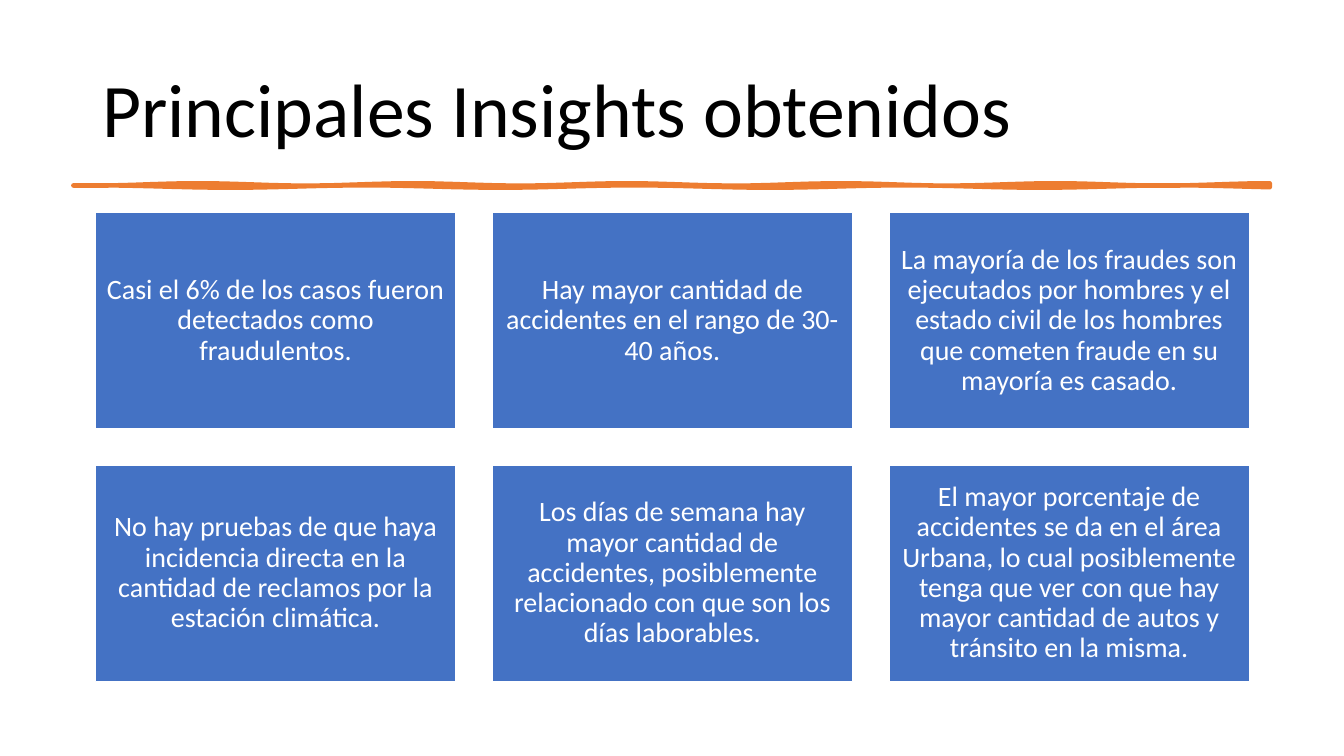
"""Builds the slide of main insights: a title, a wavy hand-drawn rule and a grid of cards."""
import math

from pptx import Presentation
from pptx import util as u
from pptx.dml.color import RGBColor
from pptx.enum import shapes, text

BLACK = RGBColor(0x00, 0x00, 0x00)
WHITE = RGBColor(0xFF, 0xFF, 0xFF)
BLUE = RGBColor(0x44, 0x72, 0xC4)
ORANGE = RGBColor(0xED, 0x7D, 0x31)

INSIGHTS = [
    "Casi el 6% de los casos fueron detectados como fraudulentos.",
    "Hay mayor cantidad de accidentes en el rango de 30-40 años.",
    "La mayoría de los fraudes son ejecutados por hombres y el estado civil "
    "de los hombres que cometen fraude en su mayoría es casado.",
    "No hay pruebas de que haya incidencia directa en la cantidad de reclamos "
    "por la estación climática.",
    "Los días de semana hay mayor cantidad de accidentes, posiblemente "
    "relacionado con que son los días laborables.",
    "El mayor porcentaje de accidentes se da en el área Urbana, lo cual "
    "posiblemente tenga que ver con que hay mayor cantidad de autos y "
    "tránsito en la misma.",
]
COLUMNS = 3
CARD_LEFT, CARD_TOP = 2.4, 5.36
CARD_WIDTH, CARD_HEIGHT = 9.09, 5.45
CARD_GAP = 0.91
CARD_MARGIN = 0.21

RULE_LEFT, RULE_WIDTH = 1.85, 30.15
RULE_STEPS = 60
WAVE_HEIGHT = 0.03
TOP_EDGE, TOP_WAVELENGTH, TOP_CREST = 4.65, 5.4, 10.4
BOTTOM_EDGE, BOTTOM_WAVELENGTH, BOTTOM_CREST = 4.7, 6.8, 9.2


def paint(shape, fill, line, width):
    shape.shadow.inherit = False
    shape.fill.solid()
    shape.fill.fore_color.rgb = fill
    shape.line.color.rgb = line
    shape.line.width = u.Pt(width)


def write(box, words, align, size, color, margins):
    frame = box.text_frame
    frame_format = {"word_wrap": True, "vertical_anchor": text.MSO_ANCHOR.MIDDLE, **margins}
    for name, value in frame_format.items():
        setattr(frame, name, value)
    para = frame.paragraphs[0]
    for name, value in {"alignment": align, "line_spacing": 0.9}.items():
        setattr(para, name, value)
    span = para.add_run()
    span.text = words
    for name, value in {"name": "Calibri", "size": u.Pt(size)}.items():
        setattr(span.font, name, value)
    span.font.color.rgb = color


deck = Presentation()
deck.slide_width, deck.slide_height = u.Cm(33.87), u.Cm(19.05)
page = deck.slides.add_slide(deck.slide_layouts[6])

title = page.shapes.add_textbox(u.Cm(2.33), u.Cm(1.01), u.Cm(29.21), u.Cm(3.68))
write(title, "Principales Insights obtenidos", text.PP_ALIGN.LEFT, 54, BLACK, {})

rightward = [RULE_LEFT + RULE_WIDTH * step / RULE_STEPS for step in range(RULE_STEPS + 1)]
leftward = rightward[::-1]
outline = []
for stations, edge, wavelength, crest in (
    (rightward, TOP_EDGE, TOP_WAVELENGTH, TOP_CREST),
    (leftward, BOTTOM_EDGE, BOTTOM_WAVELENGTH, BOTTOM_CREST),
):
    for x in stations:
        y = edge - WAVE_HEIGHT * math.cos(math.tau * (x - crest) / wavelength)
        outline.append((u.Cm(x), u.Cm(y)))
builder = page.shapes.build_freeform(*outline[0])
builder.add_line_segments(outline[1:], close=True)
rule = builder.convert_to_shape()
paint(rule, ORANGE, ORANGE, 3.25)

sides = ("left", "top", "right", "bottom")
card_margins = {f"margin_{side}": u.Cm(CARD_MARGIN) for side in sides}
for index, insight in enumerate(INSIGHTS):
    row, column = divmod(index, COLUMNS)
    left = CARD_LEFT + column * (CARD_WIDTH + CARD_GAP)
    top = CARD_TOP + row * (CARD_HEIGHT + CARD_GAP)
    card = page.shapes.add_shape(
        shapes.MSO_SHAPE.RECTANGLE,
        u.Cm(left), u.Cm(top), u.Cm(CARD_WIDTH), u.Cm(CARD_HEIGHT),
    )
    paint(card, BLUE, WHITE, 1)
    write(card, insight, text.PP_ALIGN.CENTER, 20, WHITE, card_margins)

deck.save("out.pptx")
